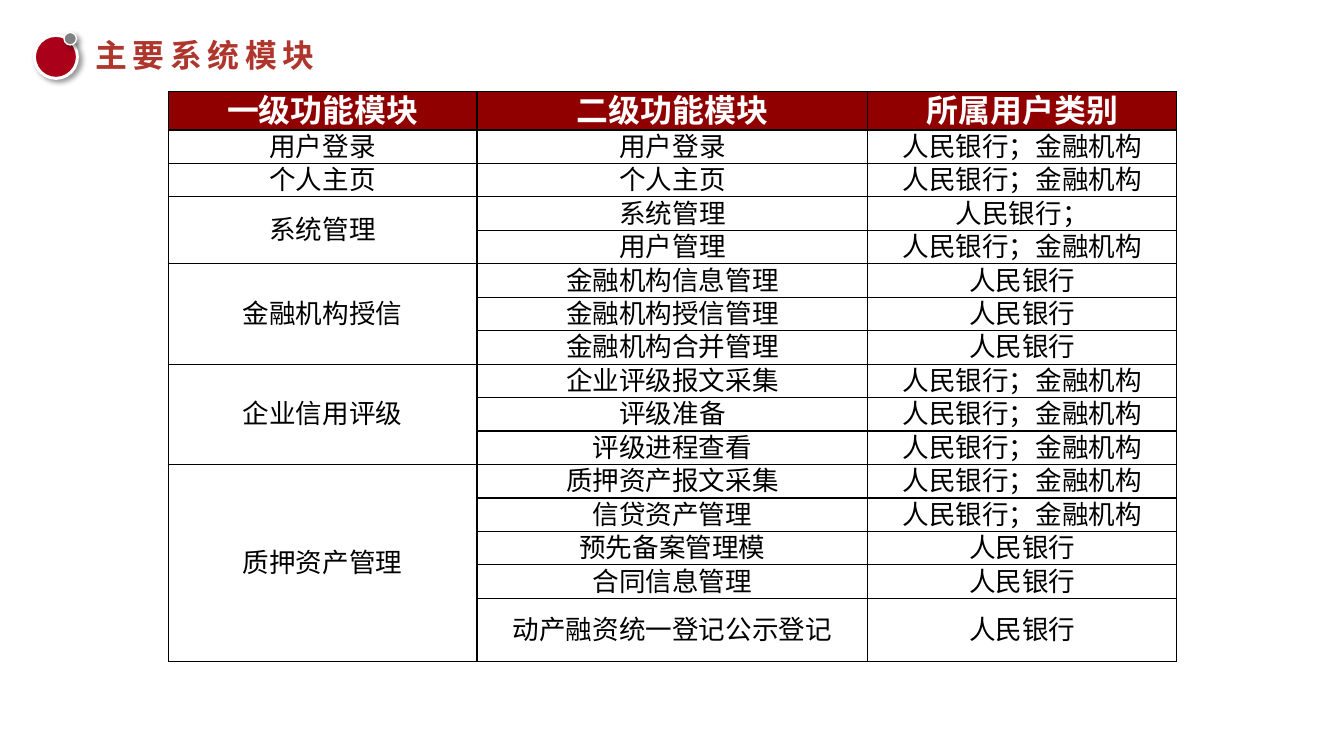
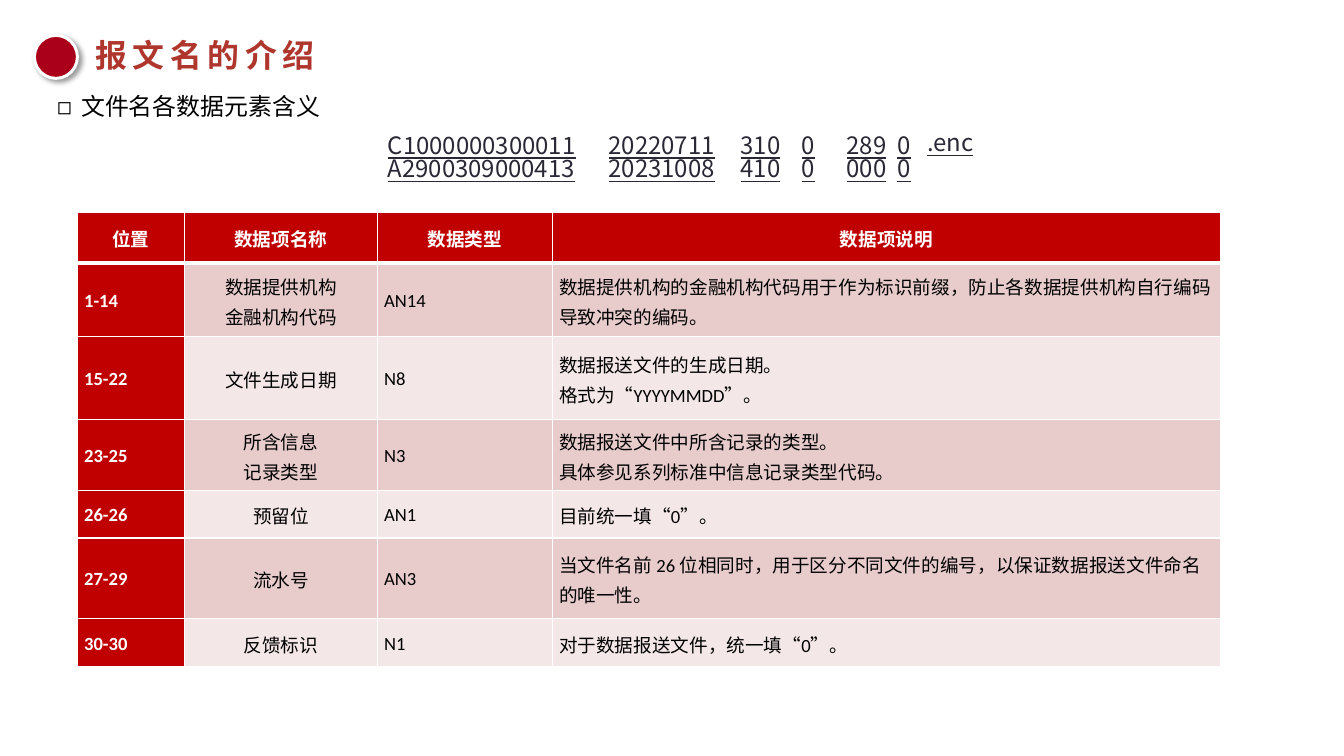
from lxml.etree import SubElement
from pptx import Presentation
from pptx.dml.color import RGBColor
from pptx.enum.shapes import MSO_SHAPE
from pptx.enum.text import MSO_ANCHOR, MSO_AUTO_SIZE, PP_ALIGN
from pptx.oxml import parse_xml
from pptx.oxml.ns import nsdecls, qn
from pptx.util import Pt

PX = 9144  # 100 px to the inch
SANS, LATIN = "Noto Sans CJK SC", "Calibri"
TIGHT = 0.82
HUES = {
    "title": "AF362C", "ball": "AB0019", "dot": "808080", "white": "FFFFFF",
    "black": "000000", "code": "292834", "dark": "900000", "red": "C00000",
    "odd": "E8CCCC", "even": "F4E7E7",
}

# Contents
BANK, BOTH = "人民银行", "人民银行；金融机构"
HEADS = ["一级功能模块", "二级功能模块", "所属用户类别"]
GROUPS = [
    ("用户登录", [("用户登录", BOTH)]),
    ("个人主页", [("个人主页", BOTH)]),
    ("系统管理", [("系统管理", "人民银行；"), ("用户管理", BOTH)]),
    ("金融机构授信", [("金融机构信息管理", BANK), ("金融机构授信管理", BANK),
                ("金融机构合并管理", BANK)]),
    ("企业信用评级", [("企业评级报文采集", BOTH), ("评级准备", BOTH),
                ("评级进程查看", BOTH)]),
    ("质押资产管理", [("质押资产报文采集", BOTH), ("信贷资产管理", BOTH),
                ("预先备案管理模", BANK), ("合同信息管理", BANK),
                ("动产融资统一登记公示登记", BANK)]),
]
FIELDS = [
    ["位置", "数据项名称", "数据类型", "数据项说明"],
    ["1-14", "数据提供机构\n金融机构代码", "AN14",
     "数据提供机构的金融机构代码用于作为标识前缀，防止各数据提供机构自行编码导致冲突的编码。"],
    ["15-22", "文件生成日期", "N8", "数据报送文件的生成日期。\n格式为“YYYYMMDD”。"],
    ["23-25", "所含信息\n记录类型", "N3",
     "数据报送文件中所含记录的类型。\n具体参见系列标准中信息记录类型代码。"],
    ["26-26", "预留位", "AN1", "目前统一填“0”。"],
    ["27-29", "流水号", "AN3",
     "当文件名前 26 位相同时，用于区分不同文件的编号，以保证数据报送文件命名的唯一性。"],
    ["30-30", "反馈标识", "N1", "对于数据报送文件，统一填“0”。"],
]
CODES = [  # left, top, width, height, text
    (396, 137, 228, 105, "C1000000300011\nA2900309000413"),
    (627, 137, 140, 66, "20220711\n20231008"),
    (765, 137, 64, 88, "310\n410"),
    (829, 137, 32, 75, "0\n0"),
    (876, 137, 76, 66, "289\n000"),
    (929, 137, 32, 66, "0\n0"),
    (960, 134, 77, 64, ".enc"),
]


def rgb(hue):
    return RGBColor.from_string(HUES[hue])


def write(frame, text, size, hue, bold=False, line=False, face=SANS,
          align=PP_ALIGN.LEFT, gap=TIGHT):
    """Set the text, then format every paragraph and run."""
    frame.text = text
    frame.word_wrap = True
    for para in frame.paragraphs:
        para.alignment = align
        para.line_spacing = gap
        for run in para.runs:
            font = run.font
            font.size, font.bold, font.underline = Pt(size), bold, line
            font.color.rgb = rgb(hue)
            font.name = face
            SubElement(font._element, qn("a:ea"), typeface=SANS)


def add_text(slide, box, text, size, hue, **style):
    frame = slide.shapes.add_textbox(*[n * PX for n in box]).text_frame
    write(frame, text, size, hue, **style)
    return frame


def add_ball(slide, left, top, size, hue, width):
    ball = slide.shapes.add_shape(
        MSO_SHAPE.OVAL, left * PX, top * PX, size * PX, size * PX)
    ball.fill.solid()
    ball.fill.fore_color.rgb = rgb(hue)
    ball.line.color.rgb = rgb("white")
    ball.line.width = Pt(width)
    ball._element.spPr.append(parse_xml(
        f'<a:effectLst {nsdecls("a")}><a:outerShdw blurRad="{Pt(4)}" '
        f'dist="{Pt(3)}" dir="2700000" algn="tl" rotWithShape="0">'
        f'<a:srgbClr val="{HUES["black"]}"><a:alpha val="40000"/></a:srgbClr>'
        '</a:outerShdw></a:effectLst>'))


def add_slide(deck, text):
    """Start a slide with the shared title and round mark."""
    slide = deck.slides.add_slide(deck.slide_layouts[5])
    title = slide.shapes.title
    title.left, title.top, title.width, title.height = [
        n * PX for n in (100, 37, 298, 40)]
    frame = title.text_frame
    write(frame, text, 24, "title", bold=True, gap=1.0)
    frame.auto_size = MSO_AUTO_SIZE.NONE
    frame.vertical_anchor = MSO_ANCHOR.MIDDLE
    frame.margin_left = frame.margin_right = 0
    frame.margin_top = frame.margin_bottom = 0
    frame.paragraphs[0].runs[0].font._element.set("spc", "420")
    add_ball(slide, 36, 37, 45, "ball", 2.25)
    return slide


def add_grid(slide, left, top, cols, rows):
    grid = slide.shapes.add_table(
        len(rows), len(cols), left * PX, top * PX,
        sum(cols) * PX, sum(rows) * PX).table
    grid.first_row = grid.horz_banding = False
    for col, width in zip(grid.columns, cols):
        col.width = width * PX
    for row, height in zip(grid.rows, rows):
        row.height = height * PX
    return grid


def dress(cell, fill, edge, top=1, foot=1):
    """Give a cell its insets, borders and fill."""
    cell.vertical_anchor = MSO_ANCHOR.MIDDLE
    cell.margin_left = cell.margin_right = 7 * PX
    cell.margin_top = cell.margin_bottom = 0
    for side, width in zip("LRTB", (1, 1, top, foot)):
        cell._tc.get_or_add_tcPr().append(parse_xml(
            f'<a:ln{side} {nsdecls("a")} w="{Pt(width)}"><a:solidFill>'
            f'<a:srgbClr val="{HUES[edge]}"/></a:solidFill></a:ln{side}>'))
    if fill:
        cell.fill.solid()
        cell.fill.fore_color.rgb = rgb(fill)
    else:
        cell.fill.background()


def add_modules(slide):
    """Table of modules, with the first column merged by group."""
    grid = add_grid(slide, 176, 96, [323, 409, 323], [40] + [35] * 14 + [66])
    lines = [HEADS]
    for name, parts in GROUPS:
        first = len(lines)
        lines += [[name if i == 0 else "", *part]
                  for i, part in enumerate(parts)]
        if len(parts) > 1:
            grid.cell(first, 0).merge(grid.cell(len(lines) - 1, 0))
    for r, line in enumerate(lines):
        size, hue, fill = (20, "black", None) if r else (24, "white", "dark")
        for c, text in enumerate(line):
            cell = grid.cell(r, c)
            dress(cell, fill, "black")
            if not cell.is_spanned:
                write(cell.text_frame, text, size, hue, bold=r == 0,
                      align=PP_ALIGN.CENTER)


def add_fields(slide):
    """Table of file name fields, with a red head row and first column."""
    grid = add_grid(slide, 81, 222, [112, 202, 183, 699],
                    [53, 77, 87, 74, 50, 84, 51])
    for r, line in enumerate(FIELDS):
        for c, text in enumerate(line):
            head = r == 0 or c == 0
            fill = "red" if head else "odd" if r % 2 else "even"
            cell = grid.cell(r, c)
            dress(cell, fill, "white", top=3 if r == 1 else 1,
                  foot=1 if r else 3)
            mid = r == 0 or c == 1
            write(cell.text_frame, text, 14, "white" if head else "black",
                  bold=head, face=LATIN, gap=1.1,
                  align=PP_ALIGN.CENTER if mid else PP_ALIGN.LEFT)


def add_point(slide, box, text):
    frame = add_text(slide, box, text, 18, "black")
    props = frame.paragraphs[0]._p.get_or_add_pPr()
    props.set("marL", str(25 * PX))
    props.set("indent", str(-25 * PX))
    SubElement(props, qn("a:buFont"), typeface=SANS)
    SubElement(props, qn("a:buChar"), char="◻")


def main():
    deck = Presentation()
    deck.slide_width, deck.slide_height = 1406 * PX, 791 * PX

    # Modules
    slide = add_slide(deck, "主要系统模块")
    add_ball(slide, 67, 34, 13, "dot", 1)
    add_modules(slide)

    # File name
    slide = add_slide(deck, "报文名的介绍")
    add_point(slide, (50, 96, 1328, 40), "文件名各数据元素含义")
    for *box, text in CODES:
        add_text(slide, box, text, 18, "code", line=True)
    add_fields(slide)

    deck.save("out.pptx")


if __name__ == "__main__":
    main()
